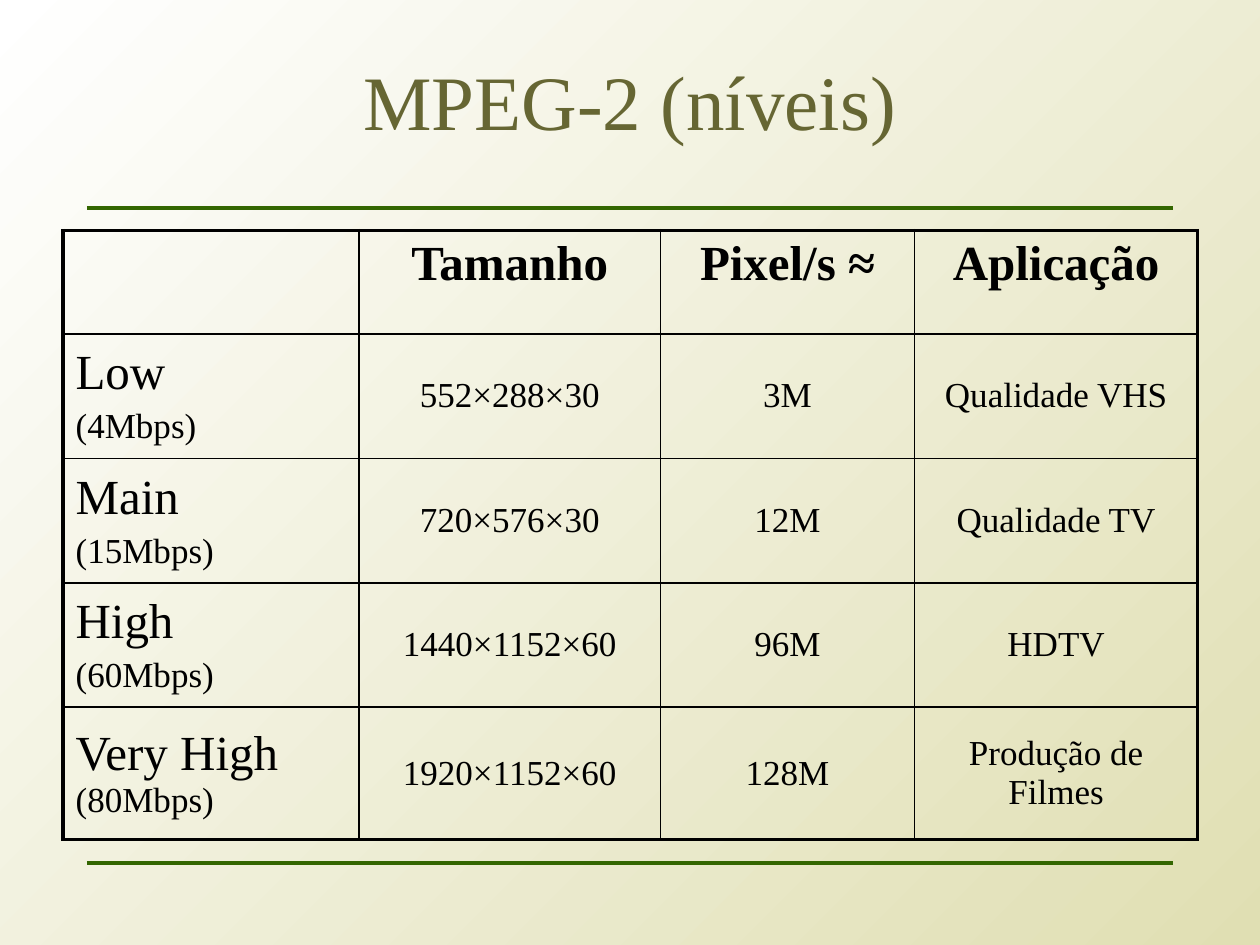
from pptx import Presentation
from pptx.util import Cm, Pt
from pptx.dml.color import RGBColor as RGB
from pptx.enum.shapes import MSO_CONNECTOR as LINE
from pptx.enum.text import MSO_ANCHOR as ANC, PP_ALIGN as AL
from pptx.oxml.ns import qn
from lxml.etree import SubElement as Sub

BLACK = RGB(0x00, 0x00, 0x00)
OLIVE = RGB(0x66, 0x66, 0x33)
GREEN = RGB(0x33, 0x66, 0x00)
WHITE = RGB(0xFF, 0xFF, 0xFF)
SAND = RGB(0xE0, 0xDF, 0xB3)
FACE = "Times New Roman"


def write(para, text, size=20, color=BLACK, bold=False, align=AL.CENTER):
    para.alignment = align
    run = para.add_run()
    run.text = text
    font = run.font
    font.name, font.size, font.bold = FACE, Pt(size), bold
    font.color.rgb = color


def edge(cell, side, width):
    line = Sub(cell._tc.get_or_add_tcPr(), qn("a:ln" + side), w=str(Pt(width)))
    fill = Sub(line, qn("a:solidFill"))
    Sub(fill, qn("a:srgbClr"), val=str(BLACK))


deck = Presentation()
deck.slide_width, deck.slide_height = Cm(25.4), Cm(19.05)
slide = deck.slides.add_slide(deck.slide_layouts[5])

back = slide.background.fill
back.gradient()
back.gradient_angle = 315
for stop, color in zip(back.gradient_stops, (WHITE, SAND)):
    stop.color.rgb = color

for y in (4.19, 17.4):
    rule = slide.shapes.add_connector(LINE.STRAIGHT, Cm(1.75), Cm(y), Cm(23.65), Cm(y))
    rule.line.color.rgb = GREEN
    rule.line.width = Pt(2)
    Sub(rule._element.spPr, qn("a:effectLst"))

title = slide.shapes.title
title.left, title.top, title.width, title.height = Cm(1.27), Cm(0.64), Cm(22.86), Cm(2.97)
frame = title.text_frame
frame.vertical_anchor = ANC.MIDDLE
frame.paragraphs[0].line_spacing = 0.9
write(frame.paragraphs[0], "MPEG-2 (níveis)", size=44, color=OLIVE)

heads = ("", "Tamanho", "Pixel/s ≈", "Aplicação")
levels = (
    ("Low", "(4Mbps)", "552×288×30", "3M", "Qualidade VHS"),
    ("Main", "(15Mbps)", "720×576×30", "12M", "Qualidade TV"),
    ("High", "(60Mbps)", "1440×1152×60", "96M", "HDTV"),
    ("Very High ", "(80Mbps)", "1920×1152×60", "128M", "Produção de Filmes"),
)
wide = (5.97, 6.07, 5.13, 5.7)
high = (2.08, 2.51, 2.51, 2.51, 2.67)
grid = slide.shapes.add_table(
    len(high), len(wide), Cm(1.27), Cm(4.65), Cm(sum(wide)), Cm(sum(high))
).table
grid.first_row = grid.horz_banding = False
for col, size in zip(grid.columns, wide):
    col.width = Cm(size)
for row, size in zip(grid.rows, high):
    row.height = Cm(size)

for col, head in enumerate(heads):
    if head:
        write(grid.cell(0, col).text_frame.paragraphs[0], head, size=28, bold=True)

for row, (name, rate, *facts) in enumerate(levels, 1):
    frame = grid.cell(row, 0).text_frame
    para = frame.paragraphs[0]
    write(para, name, size=28, align=AL.LEFT)
    if row < len(levels):
        para = frame.add_paragraph()
        para.space_before = Pt(4)
    write(para, rate, align=AL.LEFT)
    for col, fact in enumerate(facts, 1):
        write(grid.cell(row, col).text_frame.paragraphs[0], fact)

for row in range(len(high)):
    for col in range(len(wide)):
        cell = grid.cell(row, col)
        cell.vertical_anchor = ANC.MIDDLE if row else ANC.TOP
        outer = {
            "L": col == 0,
            "R": col == len(wide) - 1,
            "T": row == 0,
            "B": row == len(high) - 1,
        }
        for side, thick in outer.items():
            edge(cell, side, 2.25 if thick else 1)
        cell.fill.background()

deck.save("out.pptx")
